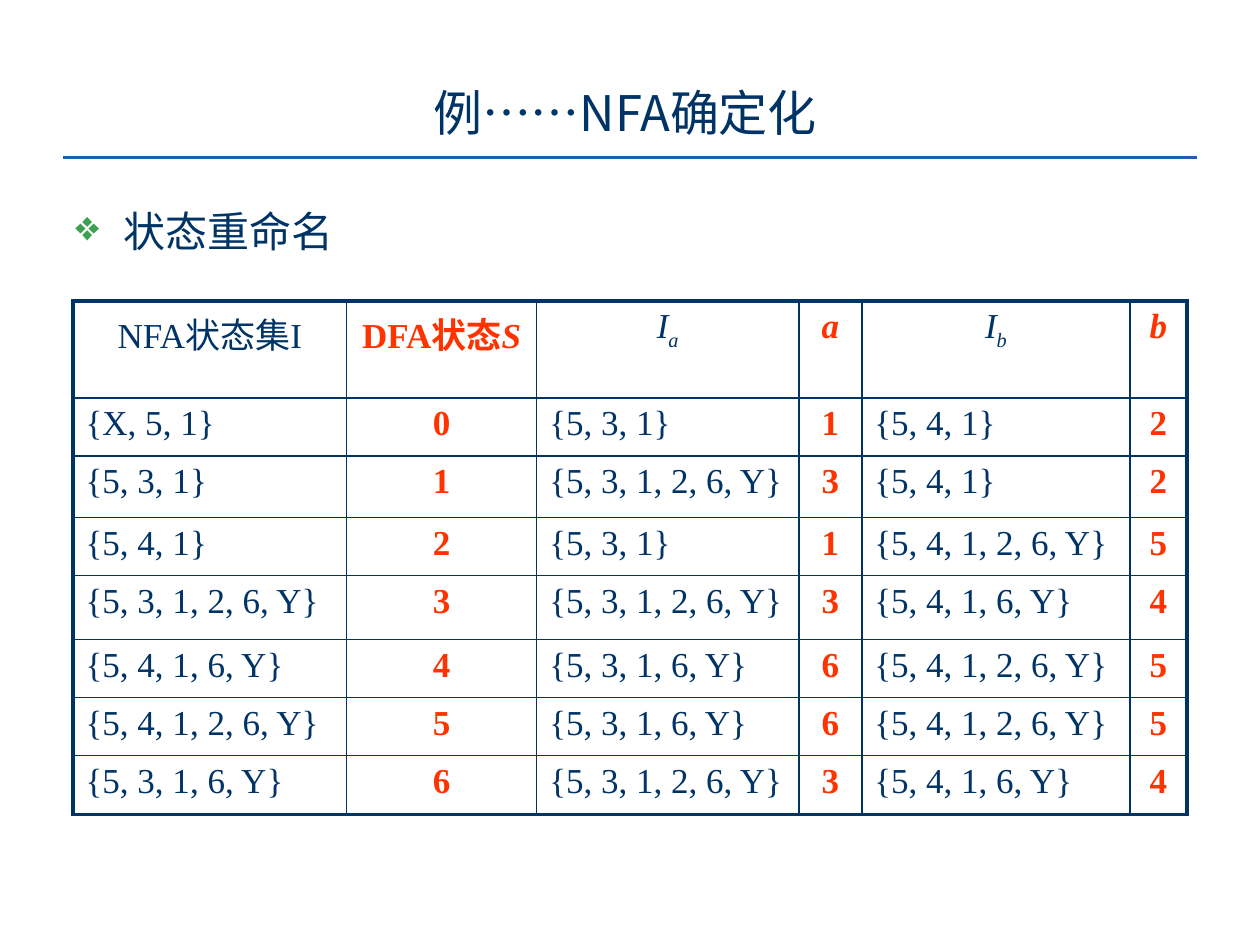
from dataclasses import dataclass

from lxml import etree
from pptx import Presentation
from pptx.dml.color import RGBColor
from pptx.enum.shapes import MSO_CONNECTOR
from pptx.enum.text import MSO_ANCHOR, PP_ALIGN
from pptx.oxml.ns import qn
from pptx.util import Inches, Pt

STRAIGHT = MSO_CONNECTOR.STRAIGHT
LEFT, MID = PP_ALIGN.LEFT, PP_ALIGN.CENTER
TOP, HALF = MSO_ANCHOR.TOP, MSO_ANCHOR.MIDDLE
COLS, ROWS = 100, 75

STATES = [
    "{X, 5, 1}",
    "{5, 3, 1}",
    "{5, 4, 1}",
    "{5, 3, 1, 2, 6, Y}",
    "{5, 4, 1, 6, Y}",
    "{5, 4, 1, 2, 6, Y}",
    "{5, 3, 1, 6, Y}",
]
MOVES = [(1, 2), (3, 2), (1, 5), (3, 4), (6, 5), (6, 5), (3, 4)]
WIDTHS = [21.7, 15.1, 20.8, 5, 21.3, 4.5]
HEIGHTS = [4.6, 4.6, 4.9, 4.6, 5.1, 4.6, 4.6, 4.7]


@dataclass
class Theme:
    ink: str = "003366"
    mark: str = "FF3300"
    rule: str = "1B61AD"
    leaf: str = "3CA051"
    sans: str = "Noto Sans CJK SC"
    serif: str = "Times New Roman"
    title: int = 28
    body: int = 24
    cell: int = 20
    thin: float = 1
    thick: float = 2.25


def put(para, text, size, color, face, asian, bold=False, slant=False, sub=False):
    run = para.add_run()
    run.text = text
    font = run.font
    font.size, font.name = Pt(size), face
    font.bold, font.italic = bold, slant
    font.color.rgb = RGBColor.from_string(color)
    props = font._element
    etree.SubElement(props, qn("a:ea"), typeface=asian)
    if sub:
        props.set("baseline", "-25000")


class Deck:
    def __init__(self, theme):
        self.theme = theme
        self.show = Presentation()
        self.show.slide_width = Inches(10)
        self.show.slide_height = Inches(7.5)
        self.slide = self.show.slides.add_slide(self.show.slide_layouts[6])

    def across(self, n):
        return round(self.show.slide_width * n / COLS)

    def down(self, n):
        return round(self.show.slide_height * n / ROWS)

    def spot(self, x, y, w, h):
        return self.across(x), self.down(y), self.across(w), self.down(h)

    def rule(self, x, y, end):
        line = self.slide.shapes.add_connector(
            STRAIGHT, self.across(x), self.down(y), self.across(end), self.down(y))
        line.line.color.rgb = RGBColor.from_string(self.theme.rule)
        line.line.width = Pt(self.theme.thick)
        etree.SubElement(line.element.spPr, qn("a:effectLst"))

    def label(self, text, area, size, face, align=LEFT, anchor=TOP):
        frame = self.slide.shapes.add_textbox(*self.spot(*area)).text_frame
        frame.word_wrap = True
        frame.vertical_anchor = anchor
        para = frame.paragraphs[0]
        para.alignment = align
        put(para, text, size, self.theme.ink, face, self.theme.sans)
        return para

    def bullet(self, text, area):
        para = self.label(text, area, self.theme.body, self.theme.serif)
        props = para._p.get_or_add_pPr()
        indent = self.across(3.8)
        props.set("marL", str(indent))
        props.set("indent", str(-indent))
        tint = etree.SubElement(props, qn("a:buClr"))
        etree.SubElement(tint, qn("a:srgbClr"), val=self.theme.leaf)
        etree.SubElement(props, qn("a:buChar"), char="❖")
        para.line_spacing = 1.2

    def border(self, cell, edges):
        props = cell._tc.get_or_add_tcPr()
        for spot, (side, outer) in enumerate(zip("LRTB", edges)):
            width = Pt(self.theme.thick if outer else self.theme.thin)
            line = etree.Element(qn("a:ln" + side), w=str(width))
            fill = etree.SubElement(line, qn("a:solidFill"))
            etree.SubElement(fill, qn("a:srgbClr"), val=self.theme.ink)
            props.insert(spot, line)

    def table(self, data, x, y):
        area = self.spot(x, y, sum(WIDTHS), sum(HEIGHTS))
        grid = self.slide.shapes.add_table(len(data), len(WIDTHS), *area).table
        grid.first_row = grid.horz_banding = False
        for col, width in zip(grid.columns, WIDTHS):
            col.width = self.across(width)
        for row, height in zip(grid.rows, HEIGHTS):
            row.height = self.down(height)
        for r, row in enumerate(data):
            for c, runs in enumerate(row):
                cell = grid.cell(r, c)
                cell.fill.background()
                self.border(cell, (c == 0, c == len(WIDTHS) - 1,
                                   r == 0, r == len(data) - 1))
                named = c % 2 == 1
                para = cell.text_frame.paragraphs[0]
                para.alignment = MID if named or r == 0 else LEFT
                color = self.theme.mark if named else self.theme.ink
                for text, form in runs:
                    put(para, text, self.theme.cell, color, self.theme.serif,
                        self.theme.sans, bold=named, **form)


def main():
    theme = Theme()
    deck = Deck(theme)
    deck.rule(5, 12.5, 95)
    deck.label("例……NFA确定化", (9.2, 5.8, 80.8, 6.2), theme.title,
               theme.sans, align=MID, anchor=HALF)
    deck.bullet("状态重命名", (5, 15, 90, 6.7))

    plain, slant = {}, {"slant": True}
    low = {"slant": True, "sub": True}
    head = [[("NFA状态集I", plain)], [("DFA状态", plain), ("S", slant)]]
    for sign in "ab":
        head += [[("I", slant), (sign, low)], [(sign, slant)]]
    data = [head]
    for state, move in enumerate(MOVES):
        row = []
        for name in (state, *move):
            row += [[(STATES[name], plain)], [(str(name), plain)]]
        data.append(row)
    deck.table(data, 5.8, 23.9)
    deck.show.save("out.pptx")


if __name__ == "__main__":
    main()
